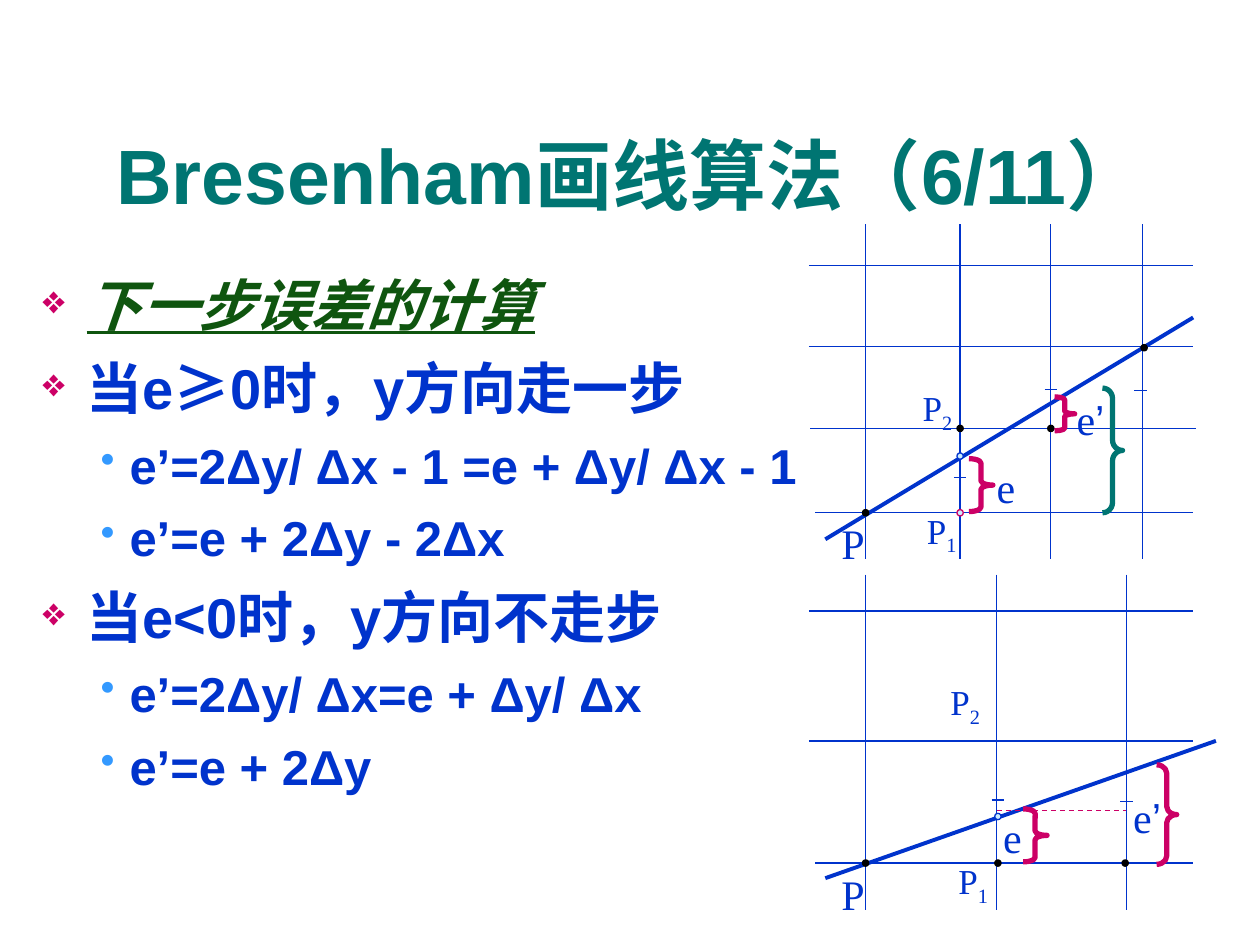
from lxml import etree
from pptx import Presentation
from pptx.dml.color import RGBColor
from pptx.enum.dml import MSO_LINE
from pptx.enum.shapes import MSO_CONNECTOR, MSO_SHAPE
from pptx.enum.text import MSO_ANCHOR, PP_ALIGN
from pptx.oxml.ns import qn
from pptx.util import Inches, Pt

COLORS = {
    "teal": "007572", "blue": "0033CC", "green": "0F550F", "magenta": "CC0066",
    "sky": "3399FF", "pale": "CCECFF", "black": "000000",
}
# Per outline level: bullet, colour, bullet size %, margin, indent, text size, space before
LEVELS = [
    ("❖", "magenta", 70, 0.47, -0.35, 32, 9),
    ("•", "sky", 85, 0.81, -0.23, 28, 8),
]


def color(name):
    return RGBColor.from_string(COLORS[name])


class SlideBuilder:
    body_font, label_font, symbol_font = "Arial", "Times New Roman", "Noto Sans CJK SC"

    def __init__(self, slide):
        self.slide = slide
        self.shapes = slide.shapes

    def set_font(self, font, name, size, tint, bold=False):
        font.name, font.size, font.bold = name, Pt(size), bold
        font.color.rgb = color(tint)

    def set_east_asian(self, run, name):
        etree.SubElement(run._r.get_or_add_rPr(), qn("a:ea")).set("typeface", name)

    def title(self, text, left, top, width, height):
        title = self.shapes.title
        title.left, title.top = Inches(left), Inches(top)
        title.width, title.height = Inches(width), Inches(height)
        frame = title.text_frame
        frame.text, frame.vertical_anchor = text, MSO_ANCHOR.MIDDLE
        heading = frame.paragraphs[0]
        heading.alignment = PP_ALIGN.CENTER
        self.set_font(heading.font, self.body_font, 44, "teal", bold=True)
        self.set_east_asian(heading.runs[0], self.body_font)

    def text_frame(self, left, top, width, height):
        box = self.shapes.add_textbox(Inches(left), Inches(top), Inches(width), Inches(height))
        box.text_frame.word_wrap = True
        return box.text_frame

    def outline(self, items, left, top, width, height):
        frame = self.text_frame(left, top, width, height)
        for index, (level, texts) in enumerate(items):
            item = frame.add_paragraph() if index else frame.paragraphs[0]
            mark, mark_color, mark_size, margin, indent, size, before = LEVELS[level]
            item.level, item.space_before = level, Pt(before)
            self.set_font(item.font, self.body_font, size, "blue", bold=True)
            props = item._p.get_or_add_pPr()
            props.set("marL", str(Inches(margin)))
            props.set("indent", str(Inches(indent)))
            bullet = [
                etree.Element(qn("a:buClr")),
                etree.Element(qn("a:buSzPct"), val=str(mark_size * 1000)),
                etree.Element(qn("a:buChar"), char=mark),
            ]
            etree.SubElement(bullet[0], qn("a:srgbClr")).set("val", COLORS[mark_color])
            for position, part in enumerate(bullet, len(props) - 1):
                props.insert(position, part)  # before the default run properties
            for text in texts:
                run = item.add_run()
                run.text = text
                name = self.symbol_font if text == "≥" else self.body_font
                run.font.name = name
                self.set_east_asian(run, name)
        return frame

    def line(self, x1, y1, x2, y2, tint="blue", weight=0.75, dashed=False):
        line = self.shapes.add_connector(
            MSO_CONNECTOR.STRAIGHT, Inches(x1), Inches(y1), Inches(x2), Inches(y2))
        line.line.color.rgb, line.line.width = color(tint), Pt(weight)
        if dashed:
            line.line.dash_style = MSO_LINE.DASH
        etree.SubElement(line._element.spPr, qn("a:effectLst"))

    def tick(self, x, y):
        self.line(x - 0.05, y, x + 0.05, y)

    def dot(self, x, y, fill="black", outline="black", size=0.05):
        dot = self.shapes.add_shape(
            MSO_SHAPE.OVAL, Inches(x - size / 2), Inches(y - size / 2), Inches(size), Inches(size))
        dot.shadow.inherit = False
        dot.fill.solid()
        dot.fill.fore_color.rgb = color(fill)
        dot.line.color.rgb, dot.line.width = color(outline), Pt(0.75)

    def brace(self, left, top, width, height, tint="magenta"):
        brace = self.shapes.add_shape(
            MSO_SHAPE.RIGHT_BRACE, Inches(left), Inches(top), Inches(width), Inches(height))
        brace.shadow.inherit = False
        brace.adjustments[0] = height / 12 / width
        brace.fill.background()
        brace.line.color.rgb, brace.line.width = color(tint), Pt(3)

    def label(self, text, left, top, width, subscript="", prime=""):
        size = 20 if subscript else 24
        frame = self.text_frame(left, top, width, 0.4)
        frame.margin_left = frame.margin_right = frame.margin_top = frame.margin_bottom = 0
        name = frame.paragraphs[0]
        name.alignment = PP_ALIGN.CENTER
        self.set_font(name.font, self.label_font, size, "blue")
        for part in filter(None, (text, subscript, prime)):
            run = name.add_run()
            run.text = part
            run.font.name = self.body_font if part == prime else self.label_font
            if part == subscript:
                run._r.get_or_add_rPr().set("baseline", "-25000")


def main():
    deck = Presentation()
    deck.slide_width, deck.slide_height = Inches(10), Inches(7.5)
    page = SlideBuilder(deck.slides.add_slide(deck.slide_layouts[5]))

    page.title("Bresenham画线算法（6/11）", 0.33, 0.75, 9.34, 1.25)

    # Outline of the error update
    outline = page.outline([
        (0, ["下一步误差的计算"]),
        (0, ["当e", "≥", "0时，y方向走一步"]),
        (1, ["e’=2Δy/ Δx - 1 =e + Δy/ Δx - 1"]),
        (1, ["e’=e + 2Δy - 2Δx"]),
        (0, ["当e<0时，y方向不走步"]),
        (1, ["e’=2Δy/ Δx=e + Δy/ Δx"]),
        (1, ["e’=e + 2Δy"]),
    ], 0.12, 2.1, 6.77, 4.88)
    lead = outline.paragraphs[0].font
    lead.italic = lead.underline = True
    lead.color.rgb = color("green")

    # Grids of both diagrams: rows as (left, y, right), columns as x
    grids = [
        (1.78, [(6.42, 2.11, 9.47), (6.42, 2.75, 9.47), (6.43, 3.4, 9.49), (6.47, 4.07, 9.47)],
         [6.87, 7.62, 8.34, 9.07]),
        (4.56, [(6.42, 4.85, 9.47), (6.42, 5.88, 9.47), (6.47, 6.85, 9.47)],
         [6.87, 7.91, 8.94]),
    ]
    for top, rows, columns in grids:
        for left, y, right in rows:
            page.line(left, y, right, y)
        for x in columns:
            page.line(x, top, x, top + 2.66)

    # Ideal lines and the dashed error level
    page.line(6.55, 4.28, 9.47, 2.52, weight=2.25)
    page.line(6.55, 6.97, 9.65, 5.88, weight=2.25)
    page.line(7.91, 6.43, 8.94, 6.43, "magenta", dashed=True)

    # Chosen pixels, crossing points and midpoint ticks
    for x, y in [(7.62, 3.4), (8.34, 3.4), (9.08, 2.76), (6.87, 4.07),
                 (7.92, 6.85), (8.93, 6.85), (6.87, 6.85)]:
        page.dot(x, y)
    for x, y, outline_color in [(7.62, 3.62, "blue"), (7.62, 4.07, "magenta"),
                                (7.92, 6.48, "blue")]:
        page.dot(x, y, "pale", outline_color)
    for x, y in [(7.62, 3.79), (8.34, 3.09), (9.05, 3.1), (7.92, 6.35), (8.94, 6.36)]:
        page.tick(x, y)

    # Error braces
    page.brace(7.69, 3.64, 0.19, 0.42)
    page.brace(8.37, 3.15, 0.16, 0.27)
    page.brace(8.75, 3.08, 0.16, 0.99, "teal")
    page.brace(8.12, 6.42, 0.19, 0.42)
    page.brace(9.18, 6.07, 0.16, 0.79)

    # Point and error labels
    for left, top in [(6.58, 4.11), (6.58, 6.89)]:
        page.label("P", left, top, 0.38)
    for left, top, width, number in [(7.21, 4.04, 0.53, "1"), (7.22, 3.07, 0.44, "2"),
                                     (7.46, 6.82, 0.53, "1"), (7.41, 5.4, 0.5, "2")]:
        page.label("P", left, top, width, subscript=number)
    for left, top, prime in [(7.7, 3.66, ""), (8.37, 3.12, "’"),
                             (7.75, 6.44, ""), (8.82, 6.28, "’")]:
        page.label("e", left, top, 0.57, prime=prime)

    deck.save("out.pptx")


if __name__ == "__main__":
    main()
